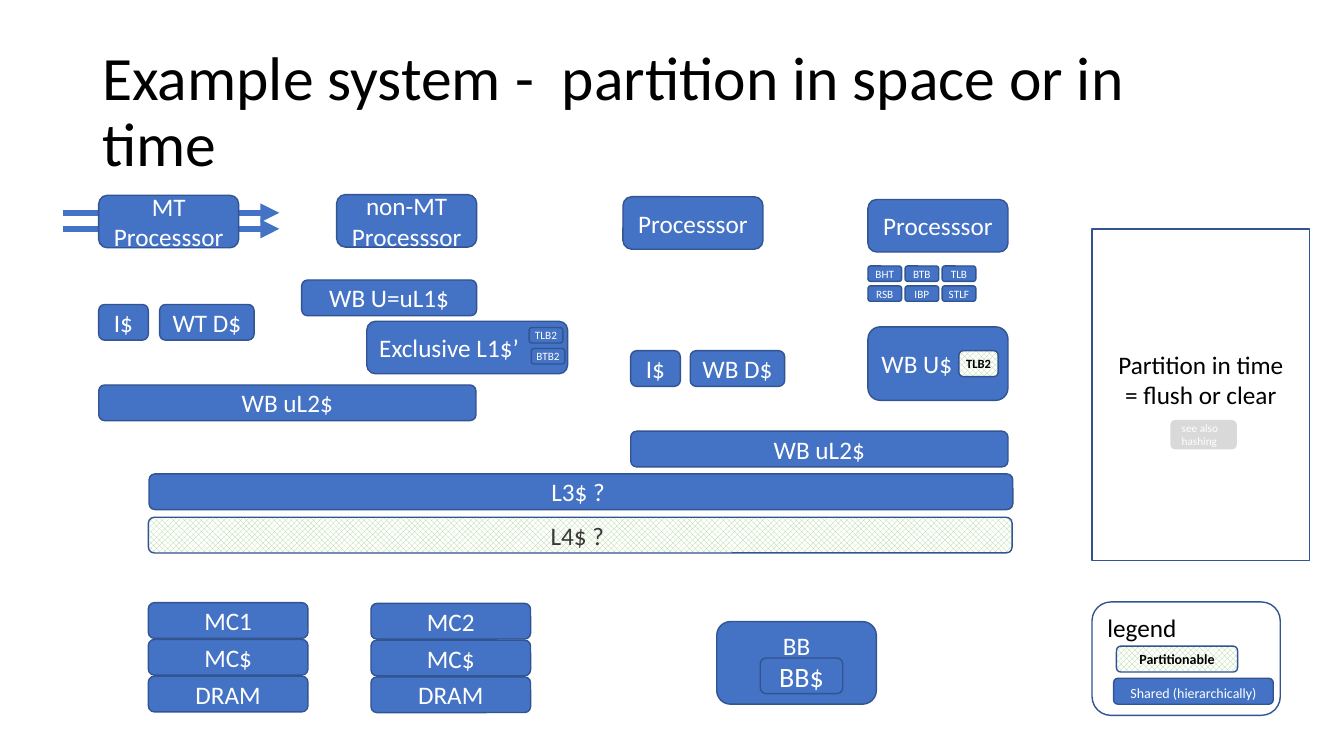
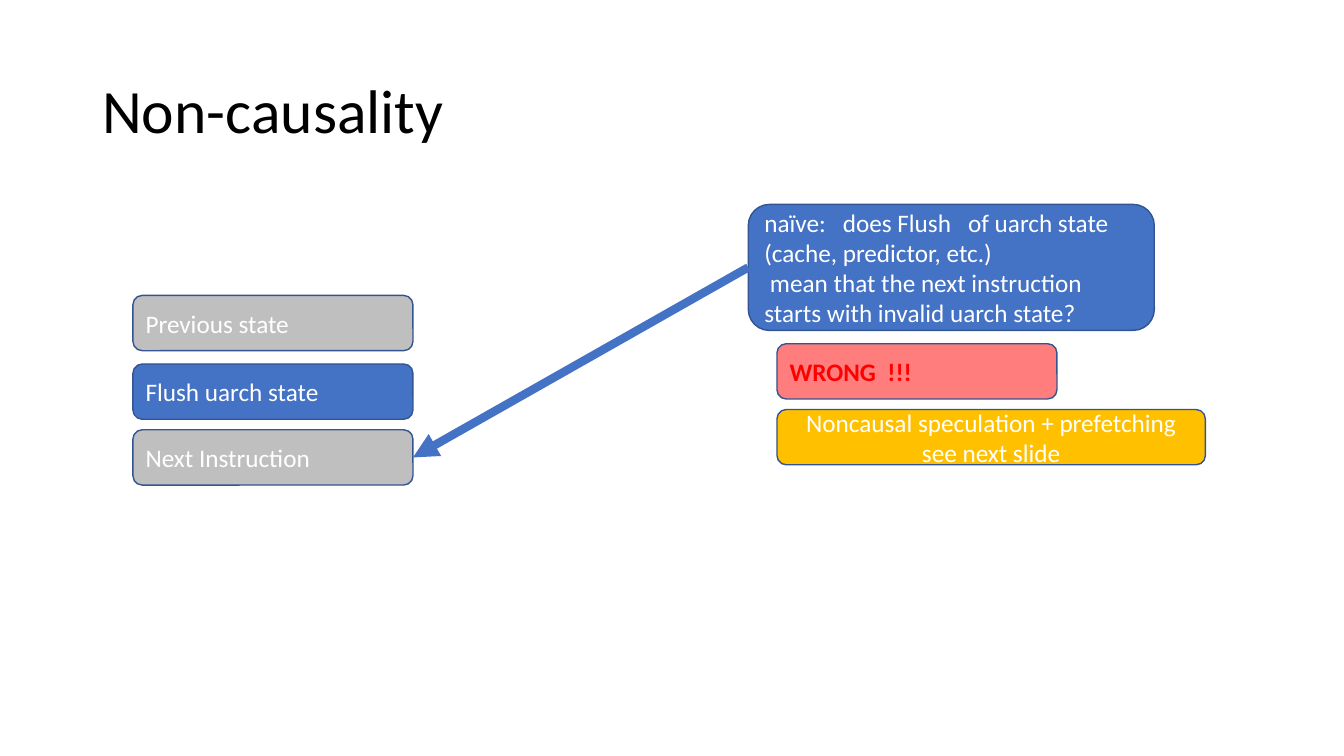
from dataclasses import dataclass
from typing import Any, Optional

import pptx
import pptx.dml.color
import pptx.enum.dml
import pptx.enum.shapes
import pptx.enum.text
import pptx.oxml.ns
import pptx.util
from lxml import etree

Pt = pptx.util.Pt
SHAPE = pptx.enum.shapes.MSO_SHAPE
ALIGN = pptx.enum.text.PP_ALIGN
ANCHOR = pptx.enum.text.MSO_ANCHOR

# Shared style
FONT = "Calibri"
BLUE, EDGE, GREEN = "4472C4", "325491", "A9D18E"
WHITE, BLACK, CHARCOAL = "FFFFFF", "000000", "3B3838"
GREY, PALE = "BFBFBF", "D9D9D9"
PINK, RED, AMBER = "FF7D7D", "FF0000", "FFC000"
CHECK = "check"
ROW = 25.5  # height of a one-line block


@dataclass
class Box:
    text: str
    x: float
    y: float
    w: float
    h: float = ROW
    fill: Optional[str] = BLUE
    color: str = WHITE
    size: float = 18
    bold: bool = False
    align: Any = ALIGN.CENTER
    anchor: Any = ANCHOR.MIDDLE
    inset: float = 7.2
    bottom: float = 3.6
    edge: Optional[str] = EDGE
    kind: Any = SHAPE.ROUNDED_RECTANGLE


def rgb(value: str) -> pptx.dml.color.RGBColor:
    return pptx.dml.color.RGBColor.from_string(value)


def write(tf: Any, text: str, size: float, color: str, bold: bool = False,
          align: Any = ALIGN.LEFT) -> None:
    tf.word_wrap = True
    tf.text = text
    for p in tf.paragraphs:
        p.alignment = align
        for r in p.runs:
            r.font.name = FONT
            r.font.size = Pt(size)
            r.font.bold = bold
            r.font.color.rgb = rgb(color)


def add_title(s: Any, text: str) -> None:
    tf = s.shapes.add_textbox(Pt(66), Pt(29), Pt(828), Pt(104)).text_frame
    write(tf, text, 44, BLACK)
    tf.vertical_anchor = ANCHOR.MIDDLE
    tf.paragraphs[0].line_spacing = 0.9


def add_box(s: Any, box: Box) -> Any:
    sp = s.shapes.add_shape(box.kind, Pt(box.x), Pt(box.y), Pt(box.w), Pt(box.h))
    sp.shadow.inherit = False
    if box.fill is None:
        sp.fill.background()
    elif box.fill == CHECK:
        sp.fill.patterned()
        sp.fill.pattern = pptx.enum.dml.MSO_PATTERN.LARGE_CHECKER_BOARD
        sp.fill.fore_color.rgb = rgb(GREEN)
        sp.fill.back_color.rgb = rgb(WHITE)
    else:
        sp.fill.solid()
        sp.fill.fore_color.rgb = rgb(box.fill)
    if box.edge is None:
        sp.line.fill.background()
    else:
        sp.line.color.rgb = rgb(box.edge)
        sp.line.width = Pt(1)
    tf = sp.text_frame
    write(tf, box.text, box.size, box.color, box.bold, box.align)
    tf.vertical_anchor = box.anchor
    tf.margin_left = tf.margin_right = Pt(box.inset)
    tf.margin_bottom = Pt(box.bottom)
    return sp


def add_arrow(s: Any, x1: float, y1: float, x2: float, y2: float, width: float) -> Any:
    line = s.shapes.add_connector(pptx.enum.shapes.MSO_CONNECTOR.STRAIGHT,
                                  Pt(x1), Pt(y1), Pt(x2), Pt(y2))
    line.line.color.rgb = rgb(BLUE)
    line.line.width = Pt(width)
    qn = pptx.oxml.ns.qn
    etree.SubElement(line.line._get_or_add_ln(), qn("a:tailEnd"), type="triangle")
    etree.SubElement(line._element.spPr, qn("a:effectLst"))
    return line


def tiny(text: str, x: float, y: float) -> Box:
    return Box(text, x, y, 24, 11, size=8, inset=2.2)


def partitionable(text: str, x: float, y: float, w: float, size: float) -> Box:
    return Box(text, x, y, w, 18.5, CHECK, BLACK, size, bold=True, inset=2.2)


def build_system(s: Any) -> None:
    add_title(s, "Example system -  partition in space or in time")

    # Two threads running through the first processor
    for y in (163.5, 152):
        add_arrow(s, 45, y, 199.5, y, 4.5)

    # Processors and their caches
    boxes = [
        Box("MT Processsor", 70.5, 139.5, 100, 37.5),
        Box("non-MT Processsor", 240.5, 139, 100, 37.5),
        Box("I$", 70.5, 217.5, 35.5),
        Box("WT D$", 114, 217.5, 67.5),
        Box("WB U=uL1$", 215.5, 200, 125),
        Box("WB uL2$", 70.5, 275, 269.5),
        Box("Exclusive L1$’", 262, 229.5, 143.5, 37.5, align=ALIGN.LEFT),
        Box("Processsor", 445, 140.5, 100, 37.5),
        Box("Processsor", 620, 142.5, 100, 37.5),
        Box("I$", 450.5, 250.5, 35.5),
        Box("WB D$", 493, 250.5, 67.5),
        Box("WB U$", 620, 233.5, 100, 52.5, align=ALIGN.LEFT),
        Box("WB uL2$", 450.5, 308, 269.5),
        Box("L4$ ? ", 106, 369.5, 617, fill=CHECK, color=CHARCOAL),
        Box("L3$ ? ", 106.5, 338.5, 617),
    ]

    # Memory controllers
    for x, y, name in ((106, 430.5, "MC1"), (265, 431, "MC2")):
        boxes += [Box(text, x, y + i * 26.25, 114)
                  for i, text in enumerate((name, "MC$", "DRAM"))]
    boxes += [
        Box("BB", 512, 444, 114, 59, anchor=ANCHOR.TOP),
        Box("BB$", 543, 470, 59, size=20),
    ]

    # Predictors and translation buffers
    for row, names in enumerate((("BHT", "BTB", "TLB"), ("RSB", "IBP", "STLF"))):
        boxes += [tiny(name, 620 + col * 26.5, 190 + row * 14.25)
                  for col, name in enumerate(names)]
    boxes += [
        partitionable("TLB2", 685, 250.5, 28, 9),
        tiny("TLB2", 378, 234),
        tiny("BTB2", 379.5, 249),
    ]

    # Legend and side note
    boxes += [
        partitionable("Partitionable", 797.5, 461.5, 86.5, 10),
        Box("Shared (hierarchically)", 795.5, 484.5, 114, 18.5, size=10,
            anchor=ANCHOR.TOP),
        Box("legend", 780, 430, 134.5, 81, None, BLACK, align=ALIGN.LEFT,
            anchor=ANCHOR.TOP),
        Box("Partition in time\n= flush or clear", 780, 163.5, 155.5, 237, None,
            BLACK, bottom=25.5, kind=SHAPE.RECTANGLE),
        Box("see also hashing", 836, 300, 47.5, 21, PALE, size=8,
            align=ALIGN.LEFT, edge=None),
    ]
    for box in boxes:
        add_box(s, box)


def build_causality(s: Any) -> None:
    add_title(s, "Non-causality")

    # Sequence of states
    add_box(s, Box("Previous state", 95, 211, 200, 39.5, GREY, align=ALIGN.LEFT))
    add_box(s, Box("Flush uarch state", 95, 260, 200, 39.5, align=ALIGN.LEFT))
    step = add_box(s, Box("Next Instruction", 95, 307, 200, 39.5, GREY,
                          align=ALIGN.LEFT))

    # Question and answers
    question = add_box(s, Box(
        "naïve:   does Flush   of uarch state\v(cache, predictor, etc.)\n"
        " mean that the next instruction starts with invalid uarch state?",
        534.5, 146, 290, 90, align=ALIGN.LEFT))
    arrow = add_arrow(s, 534.5, 191, 295, 326.75, 6)
    arrow.begin_connect(question, 1)
    arrow.end_connect(step, 3)
    add_box(s, Box("WRONG  !!!", 555, 245.5, 200, 39.5, PINK, RED, bold=True,
                   align=ALIGN.LEFT))
    add_box(s, Box("Noncausal speculation + prefetching\nsee next slide",
                   555, 292.5, 306, 39.5, AMBER))


def main() -> None:
    prs = pptx.Presentation()
    prs.slide_width, prs.slide_height = Pt(960), Pt(540)
    for build in (build_system, build_causality):
        build(prs.slides.add_slide(prs.slide_layouts[6]))
    prs.save("out.pptx")


if __name__ == "__main__":
    main()
